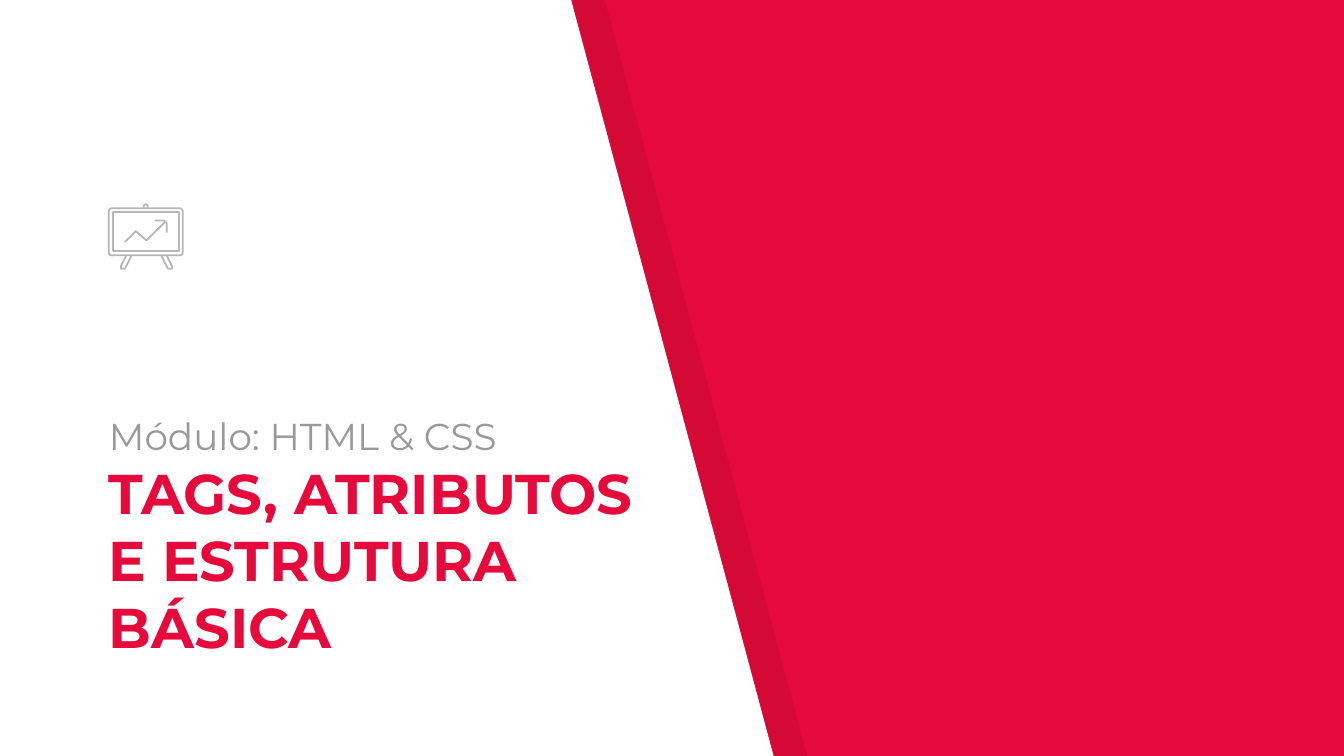
from typing import NamedTuple, Optional

from lxml.etree import SubElement
from pptx import Presentation
from pptx.dml.color import RGBColor
from pptx.enum.shapes import MSO_SHAPE
from pptx.enum.text import MSO_ANCHOR, MSO_AUTO_SIZE, PP_ALIGN
from pptx.oxml.ns import qn
from pptx.util import Inches, Pt

FONT = "Montserrat"
COLORS = {
    "red": "E50A3B",
    "white": "FFFFFF",
    "black": "000000",
    "text": "999999",
    "icon": "B7B7B7",
}


class Path(NamedTuple):
    points: list
    closed: bool = False
    fill: Optional[str] = None
    line: Optional[str] = "icon"
    alpha: int = 100


def color(name: str) -> RGBColor:
    return RGBColor.from_string(COLORS[name])


def paint(shape, fill: Optional[str], line: Optional[str], alpha: int = 100) -> None:
    shape.shadow.inherit = False
    if fill:
        shape.fill.solid()
        shape.fill.fore_color.rgb = color(fill)
        if alpha < 100:
            tone = shape._element.spPr.find(".//" + qn("a:srgbClr"))
            SubElement(tone, qn("a:alpha"), val=str(alpha * 1000))
    else:
        shape.fill.background()
    if line:
        shape.line.color.rgb = color(line)
        shape.line.width = Pt(0.96)
    else:
        shape.line.fill.background()


def draw(slide, path: Path) -> None:
    points = [(Inches(x), Inches(y)) for x, y in path.points]
    pen = slide.shapes.build_freeform(*points[0])
    pen.add_line_segments(points[1:], close=path.closed)
    paint(pen.convert_to_shape(), path.fill, path.line, path.alpha)


def write(para, text: str, *, size: int, tone: str, bold: bool = False) -> None:
    para.alignment = PP_ALIGN.LEFT
    run = para.add_run()
    run.text = text
    run.font.name = FONT
    run.font.size = Pt(size)
    run.font.bold = bold
    run.font.color.rgb = color(tone)


def panel(left: float, fill: str, alpha: int = 100) -> Path:
    edge = [(0, -0.01), (-0.01, 5.64), (5.76, 5.64), (4.25, 0)]
    return Path([(left + x, y) for x, y in edge], True, fill, None, alpha)


# Widescreen 16:9 slide
deck = Presentation()
deck.slide_width = Inches(10)
deck.slide_height = deck.slide_width * 9 // 16
slide = deck.slides.add_slide(deck.slide_layouts[5])

# Red background with a slanted white panel and its shade
slide.background.fill.solid()
slide.background.fill.fore_color.rgb = color("red")
draw(slide, panel(0.25, "black", alpha=7))
draw(slide, panel(0, "white"))

# Title, raised above the panel
title = slide.shapes.title
slide.shapes._spTree.append(title._element)
title.left, title.top = Inches(0.71), Inches(3.33)
title.width, title.height = Inches(4.25), Inches(1.68)
frame = title.text_frame
frame.word_wrap = True
frame.auto_size = MSO_AUTO_SIZE.NONE
frame.vertical_anchor = MSO_ANCHOR.BOTTOM
frame.margin_left = frame.margin_right = Inches(0.1)
frame.margin_top = frame.margin_bottom = Inches(0.1)
write(frame.paragraphs[0], "Módulo: HTML & CSS", size=20, tone="text")
write(frame.add_paragraph(), "TAGS, ATRIBUTOS E ESTRUTURA BÁSICA",
      size=30, tone="red", bold=True)

# Board icon: frame and inner screen
board = slide.shapes.add_shape(MSO_SHAPE.ROUNDED_RECTANGLE, Inches(0.81),
                               Inches(1.55), Inches(0.55), Inches(0.35))
board.adjustments[0] = 0.06
screen = slide.shapes.add_shape(MSO_SHAPE.RECTANGLE, Inches(0.84),
                                Inches(1.58), Inches(0.49), Inches(0.29))
for part in (board, screen):
    paint(part, None, "icon")

# Board icon: hook, mirrored legs, trend line and arrow tip
leg = [(0.94, 1.9), (0.9, 1.98), (0.9, 2), (0.91, 2), (0.93, 2), (0.98, 1.9)]
strokes = [
    [(1.07, 1.55), (1.07, 1.53), (1.08, 1.52), (1.09, 1.52), (1.1, 1.53),
     (1.1, 1.55)],
    leg,
    [(2.18 - x, y) for x, y in leg],
    [(0.93, 1.8), (1.01, 1.72), (1.08, 1.78), (1.09, 1.79), (1.1, 1.78),
     (1.23, 1.65)],
    [(1.15, 1.64), (1.22, 1.64), (1.24, 1.66), (1.24, 1.73)],
]
for points in strokes:
    draw(slide, Path(points))

deck.save("out.pptx")
